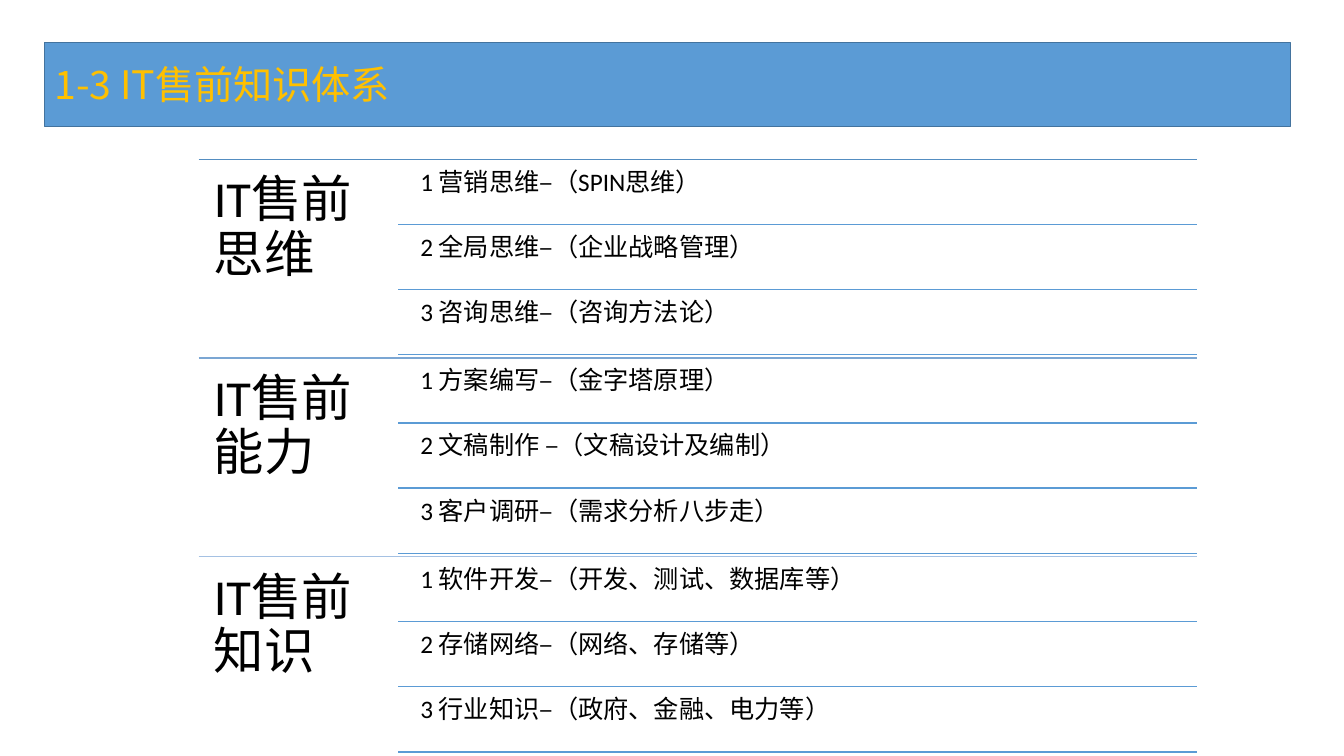
from dataclasses import dataclass

from lxml.etree import SubElement
from pptx import Presentation
from pptx.dml.color import RGBColor
from pptx.enum.shapes import MSO_CONNECTOR as Connector
from pptx.enum.text import MSO_ANCHOR as Anchor, MSO_AUTO_SIZE as AutoSize, PP_ALIGN as Align
from pptx.oxml import parse_xml
from pptx.oxml.ns import nsdecls, qn
from pptx.shapes.autoshape import Shape
from pptx.slide import Slide
from pptx.util import Inches, Length, Pt


@dataclass(frozen=True)
class Theme:
    banner: str = "5B9BD5"
    banner_edge: str = "43739E"
    title_ink: str = "FFC000"
    ink: str = "000000"
    rule: str = "5B9BD5"
    latin: str = "Calibri"
    chinese: str = "Noto Sans CJK SC"
    title_size: int = 28
    heading_size: int = 36
    item_size: int = 18
    rule_width: int = 1


@dataclass(frozen=True)
class Grid:
    left: float = 1.97
    top: float = 1.58
    width: float = 9.9
    section_height: float = 1.97
    columns: int = 200
    rows: int = 64

    def x(self, column: float) -> Length:
        return Inches(self.left + self.width * column / self.columns)

    def y(self, row: float) -> Length:
        return Inches(self.top + self.section_height * row / self.rows)


@dataclass(frozen=True)
class Section:
    heading: str
    rule: str
    items: tuple[str, ...]


THEME = Theme()
GRID = Grid()
HEADING_COLUMNS = 40
ITEM_COLUMN = 43
ITEM_ROWS = 20
GAP_ROWS = 1
TITLE = "1-3 IT售前知识体系"
SECTIONS = (
    Section("IT售前思维", "538DC1", (
        "1 营销思维–（SPIN思维）",
        "2 全局思维–（企业战略管理）",
        "3 咨询思维–（咨询方法论）",
    )),
    Section("IT售前能力", "7BA6D3", (
        "1 方案编写–（金字塔原理）",
        "2 文稿制作 –（文稿设计及编制）",
        "3 客户调研–（需求分析八步走）",
    )),
    Section("IT售前知识", "A5C1E3", (
        "1 软件开发–（开发、测试、数据库等）",
        "2 存储网络–（网络、存储等）",
        "3 行业知识–（政府、金融、电力等）",
    )),
)


def write_text(box: Shape, text: str, size: int, color: str, latin: str,
               inset: float, spacing: float, anchor: Anchor) -> None:
    frame = box.text_frame
    frame.text = text
    frame.word_wrap = True
    frame.auto_size = AutoSize.NONE
    frame.vertical_anchor = anchor
    frame.margin_left = frame.margin_right = Inches(inset)
    frame.margin_top = frame.margin_bottom = Inches(inset)
    para = frame.paragraphs[0]
    para.alignment = Align.LEFT
    para.line_spacing = spacing
    para.space_before = Pt(0)
    for span in para.runs:
        span.font.size = Pt(size)
        span.font.name = latin
        span.font.color.rgb = RGBColor.from_string(color)
        SubElement(span.font._element, qn("a:ea"), typeface=THEME.chinese)


def draw_title(page: Slide, deck_width: int, deck_height: int) -> None:
    banner = page.shapes.title
    banner.left, banner.top = int(deck_width * 0.033), int(deck_height * 0.056)
    banner.width, banner.height = int(deck_width * 0.927), int(deck_height * 0.111)
    outline = parse_xml(f'<a:prstGeom {nsdecls("a")} prst="roundRect"><a:avLst/></a:prstGeom>')
    banner._element.spPr.find(qn("a:xfrm")).addnext(outline)
    banner.fill.solid()
    banner.fill.fore_color.rgb = RGBColor.from_string(THEME.banner)
    banner.line.color.rgb = RGBColor.from_string(THEME.banner_edge)
    banner.line.width = Pt(THEME.rule_width)
    write_text(banner, TITLE, THEME.title_size, THEME.title_ink, THEME.chinese,
               0.1, 1.0, Anchor.MIDDLE)


def draw_rule(page: Slide, column: float, row: float, color: str) -> None:
    height = GRID.y(row)
    rule = page.shapes.add_connector(
        Connector.STRAIGHT, GRID.x(column), height, GRID.x(GRID.columns), height)
    rule.line.color.rgb = RGBColor.from_string(color)
    rule.line.width = Pt(THEME.rule_width)
    SubElement(rule._element.spPr, qn("a:effectLst"))


def draw_text(page: Slide, text: str, column: float, row: float, columns: float,
              rows: float, size: int, inset: float) -> None:
    left, top = GRID.x(column), GRID.y(row)
    box = page.shapes.add_textbox(
        left, top, GRID.x(column + columns) - left, GRID.y(row + rows) - top)
    write_text(box, text, size, THEME.ink, THEME.latin, inset, 0.9, Anchor.TOP)


def draw_section(page: Slide, section: Section, first_row: int) -> None:
    draw_rule(page, 0, first_row, section.rule)
    draw_text(page, section.heading, 0, first_row, HEADING_COLUMNS, GRID.rows,
              THEME.heading_size, 0.15)
    for index, item in enumerate(section.items):
        row = first_row + GAP_ROWS + index * (ITEM_ROWS + GAP_ROWS)
        draw_text(page, item, ITEM_COLUMN, row, GRID.columns - ITEM_COLUMN, ITEM_ROWS,
                  THEME.item_size, 0.07)
        draw_rule(page, HEADING_COLUMNS, row + ITEM_ROWS, THEME.rule)


def main() -> None:
    deck = Presentation()
    deck.slide_width, deck.slide_height = Inches(13.33), Inches(7.5)
    page = deck.slides.add_slide(deck.slide_layouts.get_by_name("Title Only"))
    draw_title(page, deck.slide_width, deck.slide_height)
    for index, section in enumerate(SECTIONS):
        draw_section(page, section, index * GRID.rows)
    deck.save("out.pptx")


if __name__ == "__main__":
    main()
